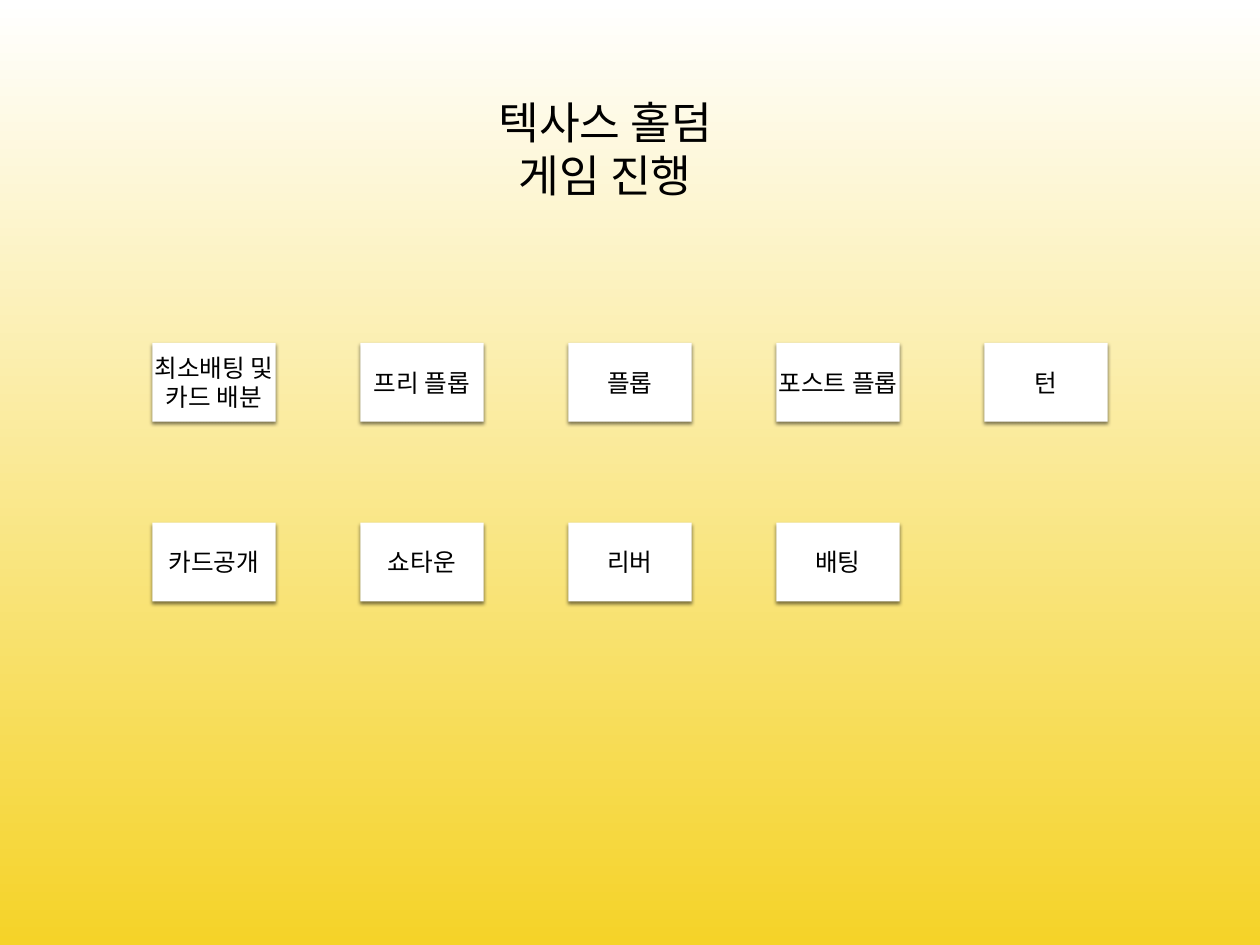
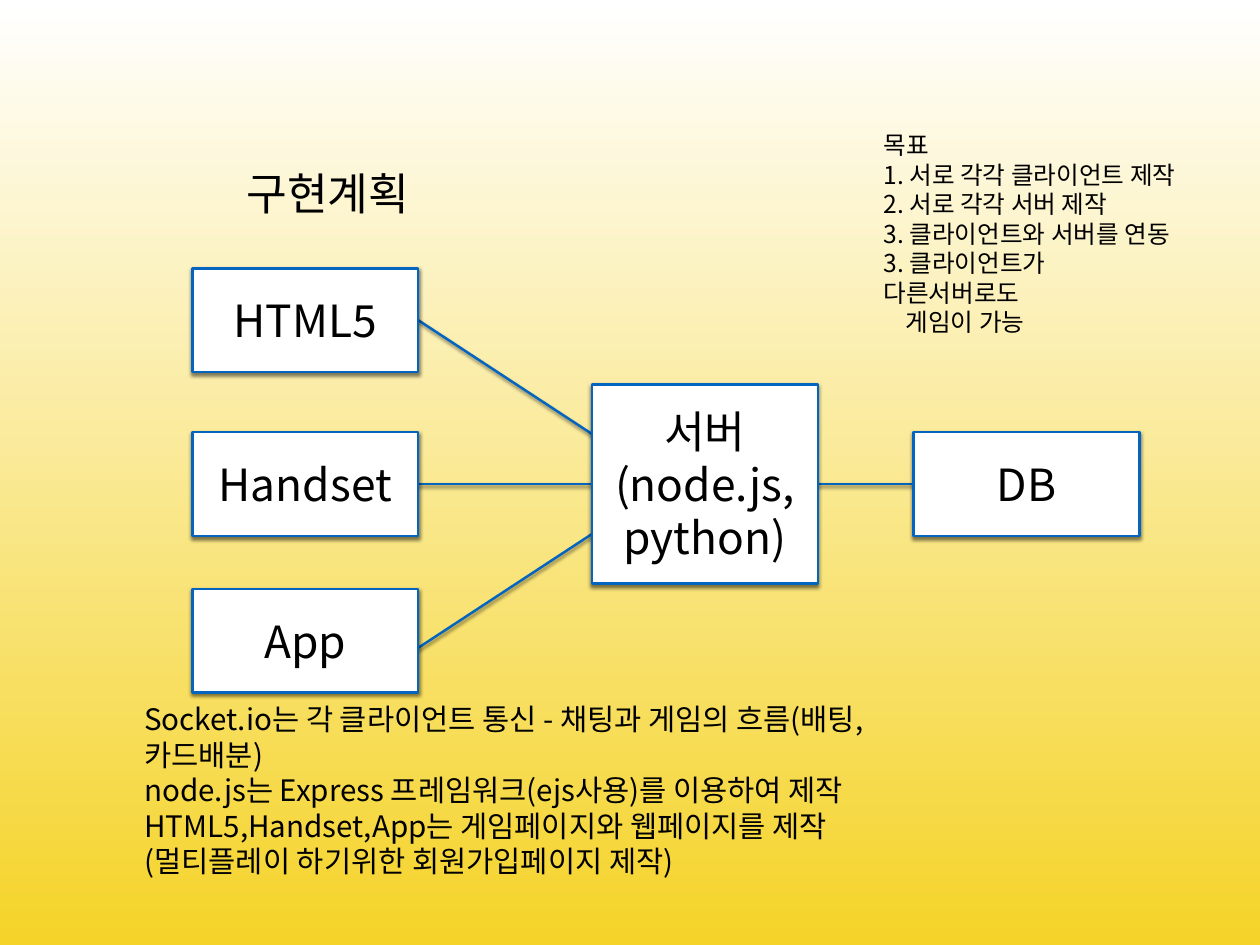
from lxml import etree
from pptx import Presentation
from pptx.dml.color import RGBColor
from pptx.enum.shapes import MSO_CONNECTOR, MSO_SHAPE
from pptx.enum.text import MSO_ANCHOR, MSO_AUTO_SIZE, PP_ALIGN
from pptx.oxml import parse_xml
from pptx.oxml.ns import nsdecls, qn
from pptx.util import Inches, Pt

RECTANGLE = MSO_SHAPE.RECTANGLE
STRAIGHT = MSO_CONNECTOR.STRAIGHT
MIDDLE = MSO_ANCHOR.MIDDLE
NO_AUTOFIT = MSO_AUTO_SIZE.NONE
CENTER, LEFT = PP_ALIGN.CENTER, PP_ALIGN.LEFT
LEFT_SIDE, RIGHT_SIDE = 1, 3
TITLE_ONLY = 5

COLORS = {"text": "000000", "box": "FFFFFF", "line": "0365C0",
          "page_top": "FFFFFF", "page_bottom": "F5D328", "shadow": "000000"}
FONT = "Noto Sans CJK KR"
INSET = 0.06


def color(name):
    return RGBColor.from_string(COLORS[name])


def inches(*lengths):
    return [Inches(length) for length in lengths]


def write(shape, text, size=36, align=CENTER, font=FONT, insets=(0, 0, 0, 0), indents=()):
    """Fill a shape with one paragraph per line; indents are inches by line."""
    frame = shape.text_frame
    frame.auto_size = NO_AUTOFIT
    frame.word_wrap = True
    frame.vertical_anchor = MIDDLE
    (frame.margin_left, frame.margin_top,
     frame.margin_right, frame.margin_bottom) = inches(*insets)
    for index, line in enumerate(text.split("\n")):
        para = frame.paragraphs[0] if index == 0 else frame.add_paragraph()
        para.alignment = align
        if index in dict(indents):
            para._p.get_or_add_pPr().set("marL", str(Inches(dict(indents)[index])))
        span = para.add_run()
        span.text = line
        span.font.size = Pt(size)
        span.font.name = font
        span.font.color.rgb = color("text")
        east_asian = etree.SubElement(span._r.get_or_add_rPr(), qn("a:ea"))
        east_asian.set("typeface", FONT)


def cast_shadow(shape):
    """Add the soft shadow below a shape whose fill and line are already set."""
    shape._element.spPr.append(parse_xml(
        f'<a:effectLst {nsdecls("a")}>'
        f'<a:outerShdw blurRad="{Pt(3)}" dist="{Pt(2)}" dir="5400000" rotWithShape="0">'
        f'<a:srgbClr val="{COLORS["shadow"]}"><a:alpha val="50000"/></a:srgbClr>'
        '</a:outerShdw></a:effectLst>'))


def add_box(page, text, left, top, width, height, outlined=True, **text_format):
    box = page.shapes.add_shape(RECTANGLE, *inches(left, top, width, height))
    box.fill.solid()
    box.fill.fore_color.rgb = color("box")
    if outlined:
        box.line.color.rgb = color("line")
        box.line.width = Pt(2)
    else:
        box.line.fill.background()
    cast_shadow(box)
    write(box, text, **text_format)
    return box


def add_link(page, *ends):
    link = page.shapes.add_connector(STRAIGHT, *inches(*ends))
    link.line.color.rgb = color("line")
    link.line.width = Pt(2)
    cast_shadow(link)
    return link


def add_note(page, text, left, top, width, height, **text_format):
    note = page.shapes.add_textbox(*inches(left, top, width, height))
    write(note, text, align=LEFT, insets=(INSET,) * 4, **text_format)


def add_page(deck, title, left, top, width, height, **text_format):
    page = deck.slides.add_slide(deck.slide_layouts[TITLE_ONLY])
    heading = page.shapes.title
    heading.left, heading.top, heading.width, heading.height = inches(left, top, width, height)
    write(heading, title, **text_format)
    return page


def paint_background(master):
    fill = master.background.fill
    fill.gradient()
    fill.gradient_angle = 270
    for stop, position, name in zip(fill.gradient_stops, (0, 1), ("page_top", "page_bottom")):
        stop.position = position
        stop.color.rgb = color(name)


def add_steps(page, rows, left, top, width):
    """Lay the game steps on a grid of five columns across the width."""
    box_width, box_height, row_pitch = 1.39, 0.89, 2.03
    column_pitch = (width - box_width) / 4
    for row, steps in enumerate(rows):
        for column, step in enumerate(steps):
            add_box(page, step, left + column * column_pitch, top + row * row_pitch,
                    box_width, box_height, outlined=False, size=20)


def add_architecture(page, left, top):
    """Draw three clients linked to the server, and the server to the database."""
    width, height = 2.55, 1.17
    client_right = left + width
    server_left, server_top, server_height = left + 4.51, top + 1.31, 2.25
    database_left, middle_top = left + 8.14, top + 1.85
    middle = middle_top + height / 2
    hidden_end = server_left + 0.13

    # Links lie behind the boxes
    html_link = add_link(page, client_right, top + height / 2, hidden_end, middle - 0.48)
    handset_link = add_link(page, client_right, middle, server_left, middle)
    add_link(page, client_right, middle + 1.85, hidden_end, middle + 0.48)
    database_link = add_link(page, server_left + width, middle, database_left, middle)

    # Boxes
    html, handset, _ = [
        add_box(page, name, left, client_top, width, height)
        for name, client_top in (("HTML5", top), ("Handset", middle_top), ("App", top + 3.62))]
    database = add_box(page, "DB", database_left, middle_top, width, height)
    server = add_box(page, "서버\n(node.js,\npython)", server_left, server_top,
                     width, server_height)

    # Joints
    html_link.begin_connect(html, RIGHT_SIDE)
    handset_link.begin_connect(handset, RIGHT_SIDE)
    handset_link.end_connect(server, LEFT_SIDE)
    database_link.begin_connect(server, RIGHT_SIDE)
    database_link.end_connect(database, LEFT_SIDE)


def build_game_page(deck):
    # The wide right inset breaks the title before its last word
    page = add_page(deck, "텍사스 홀덤 게임 진행", 5.06, 1.32, 4.41, 0.71,
                    insets=(INSET, INSET, 0.93, INSET))
    add_steps(page, [["최소배팅 및 카드 배분", "프리 플롭", "플롭", "포스트 플롭", "턴"],
                     ["카드공개", "쇼타운", "리버", "배팅"]], 1.72, 3.87, 10.78)


def build_plan_page(deck):
    page = add_page(deck, "구현계획", 2.77, 1.82, 1.86, 0.71, font="Montserrat")
    add_architecture(page, 2.17, 3.03)
    add_note(page, "Socket.io는 각 클라이언트 통신 - 채팅과 게임의 흐름(배팅, 카드배분)\n"
                   "node.js는 Express 프레임워크(ejs사용)를 이용하여 제작\n"
                   "HTML5,Handset,App는 게임페이지와 웹페이지를 제작\n"
                   "(멀티플레이 하기위한 회원가입페이지 제작)",
             1.57, 8.06, 9.2, 1.72, size=24)
    add_note(page, "목표\n"
                   "1. 서로 각각 클라이언트 제작\n"
                   "2. 서로 각각 서버 제작\n"
                   "3. 클라이언트와 서버를 연동\n"
                   "3. 클라이언트가 다른서버로도\n"
                   "게임이 가능",
             9.91, 1.58, 3.51, 2.11, size=20, indents={5: 0.25})


def main():
    deck = Presentation()
    deck.slide_width, deck.slide_height = inches(14.22, 10.67)
    paint_background(deck.slide_master)
    build_game_page(deck)
    build_plan_page(deck)
    deck.save("out.pptx")


if __name__ == "__main__":
    main()
